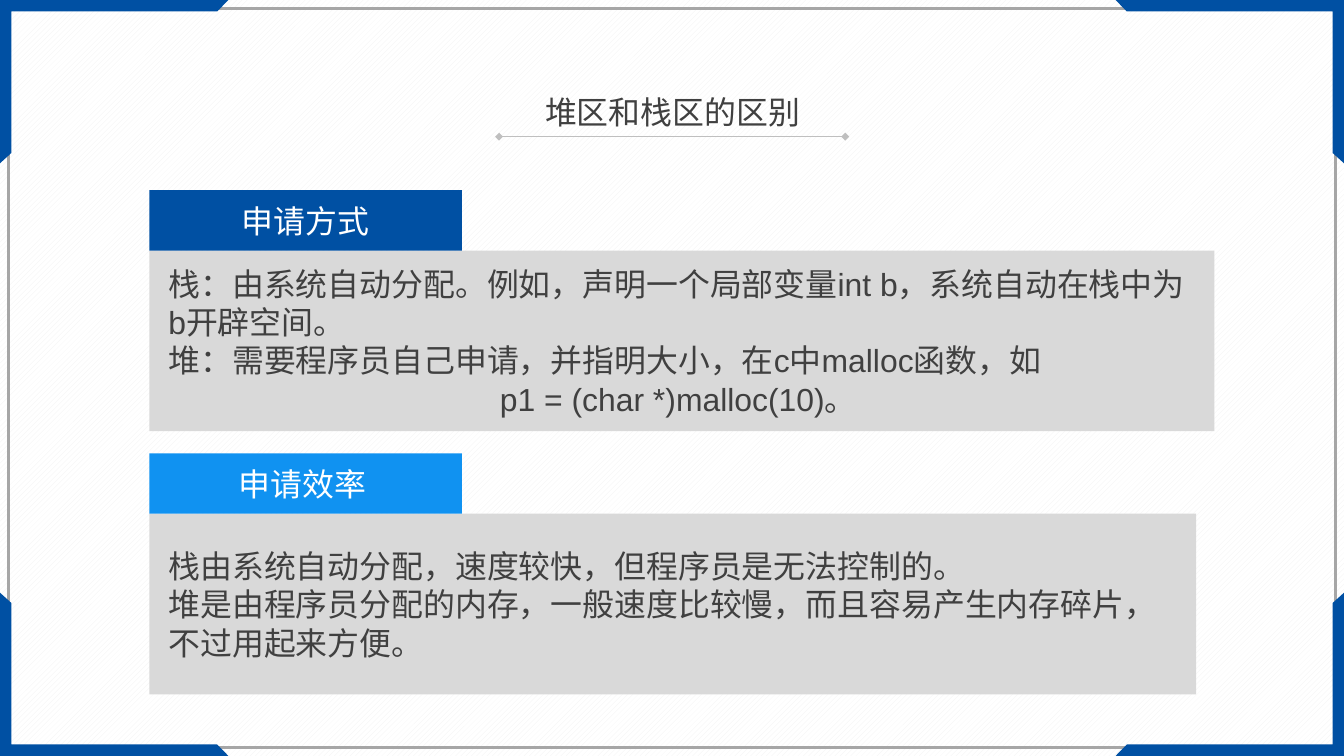
from dataclasses import dataclass
from itertools import product

from lxml.etree import SubElement as Sub
from pptx import Presentation
from pptx.dml.color import RGBColor as Rgb
from pptx.enum.dml import MSO_PATTERN as Pat
from pptx.enum.shapes import MSO_CONNECTOR as Conn, MSO_SHAPE as Kind
from pptx.enum.text import MSO_ANCHOR as Anchor, MSO_AUTO_SIZE as Auto, PP_ALIGN as Align
from pptx.oxml.ns import qn
from pptx.util import Inches, Pt

# Slide grid
WIDE, HIGH = Inches(14.06), Inches(7.91)
COLS, ROWS = 45, 25


@dataclass(frozen=True)
class Theme:
    navy: str = "0050A3"
    blue: str = "1092F1"
    panel: str = "D9D9D9"
    ink: str = "404040"
    white: str = "FFFFFF"
    hatch: str = "F2F2F2"
    frame: str = "A6A6A6"
    rule: str = "BFBFBF"
    size: int = 24
    latin: str = "Arial"
    asian: str = "Noto Sans CJK SC"


THEME = Theme()

TITLE = "堆区和栈区的区别"
CARDS = [
    ("申请方式", THEME.navy, 35.66, [
        ("栈：由系统自动分配。例如，声明一个局部变量int b，系统自动在栈中为b开辟空间。\n"
         "堆：需要程序员自己申请，并指明大小，在c中malloc函数，如", Align.LEFT),
        ("p1 = (char *)malloc(10)。 ", Align.CENTER)]),
    ("申请效率 ", THEME.blue, 35.05, [
        ("栈由系统自动分配，速度较快，但程序员是无法控制的。 \n"
         "堆是由程序员分配的内存，一般速度比较慢，而且容易产生内存碎片，不过用起来方便。",
         Align.LEFT)]),
]


def col(num):
    return round(num * WIDE / COLS)


def row(num):
    return round(num * HIGH / ROWS)


def cell(left, top, wide, high):
    return col(left), row(top), col(wide), row(high)


def tune(item, vals):
    for key, val in vals.items():
        setattr(item, key, val)


def paint(shape, fill=None, line=None, width=0):
    shape.shadow.inherit = False
    if fill:
        shape.fill.solid()
        shape.fill.fore_color.rgb = Rgb.from_string(fill)
    else:
        shape.fill.background()
    if line:
        tune(shape.line, {"width": Pt(width)})
        shape.line.color.rgb = Rgb.from_string(line)
    else:
        shape.line.fill.background()


def write(shape, paras, color, font=THEME.latin, **form):
    frame = shape.text_frame
    tune(frame, {"word_wrap": True, **form})
    for num, (text, align) in enumerate(paras):
        para = frame.add_paragraph() if num else frame.paragraphs[0]
        tune(para, {"text": text, "alignment": align})
        for run in para.runs:
            tune(run.font, {"size": Pt(THEME.size), "name": font})
            run.font.color.rgb = Rgb.from_string(color)
            Sub(run.font._element, qn("a:ea"), typeface=THEME.asian)


def box(shapes, area, **look):
    shape = shapes.add_shape(Kind.RECTANGLE, *area)
    paint(shape, **look)
    return shape


def corner(shapes, right, low):
    # One bevelled bracket, mirrored into the chosen corner
    base = [(0, 0), (7.65, 0), (7.27, 0.38), (0.38, 0.38), (0.38, 5.06), (0, 5.4)]
    pts = [(col(COLS - x if right else x), row(ROWS - y if low else y))
           for x, y in base]
    pen = shapes.build_freeform(*pts[0], scale=1.0)
    pen.add_line_segments(pts[1:], close=True)
    paint(pen.convert_to_shape(), fill=THEME.navy)


def title(shapes):
    y = row(4.52)
    line = shapes.add_connector(Conn.STRAIGHT, col(16.71), y, col(28.3), y)
    tune(line.line, {"width": Pt(0.5)})
    line.line.color.rgb = Rgb.from_string(THEME.rule)
    for end in ("a:headEnd", "a:tailEnd"):
        Sub(line.line._get_or_add_ln(), qn(end), type="diamond")
    Sub(line._element.spPr, qn("a:effectLst"))
    head = shapes.add_textbox(*cell(16.1, 2.91, 12.84, 1.58))
    write(head, [(TITLE, Align.CENTER)], THEME.ink, THEME.asian,
          auto_size=Auto.SHAPE_TO_FIT_TEXT)


def card(shapes, top, name, color, wide, paras):
    body = box(shapes, cell(5, top + 2, wide, 5.97), fill=THEME.panel)
    write(body, paras, THEME.ink, vertical_anchor=Anchor.MIDDLE,
          margin_left=col(0.64), margin_right=col(0.64))
    tab = box(shapes, cell(5, top, 10.47, 2), fill=color)
    write(tab, [(name, Align.CENTER)], THEME.white, vertical_anchor=Anchor.MIDDLE)


def main():
    deck = Presentation()
    tune(deck, {"slide_width": WIDE, "slide_height": HIGH})
    slide = deck.slides.add_slide(deck.slide_layouts[6])
    shapes = slide.shapes

    # Hatched background
    back = slide.background.fill
    back.patterned()
    back.pattern = Pat.WIDE_UPWARD_DIAGONAL
    back.fore_color.rgb = Rgb.from_string(THEME.hatch)
    back.back_color.rgb = Rgb.from_string(THEME.white)

    # Frame and corners
    box(shapes, cell(0.29, 0.28, COLS - 0.58, ROWS - 0.56), line=THEME.frame, width=2)
    for right, low in product((False, True), repeat=2):
        corner(shapes, right, low)

    # Title and cards
    title(shapes)
    for num, item in enumerate(CARDS):
        card(shapes, 6.29 + 8.7 * num, *item)

    deck.save("out.pptx")


if __name__ == "__main__":
    main()
